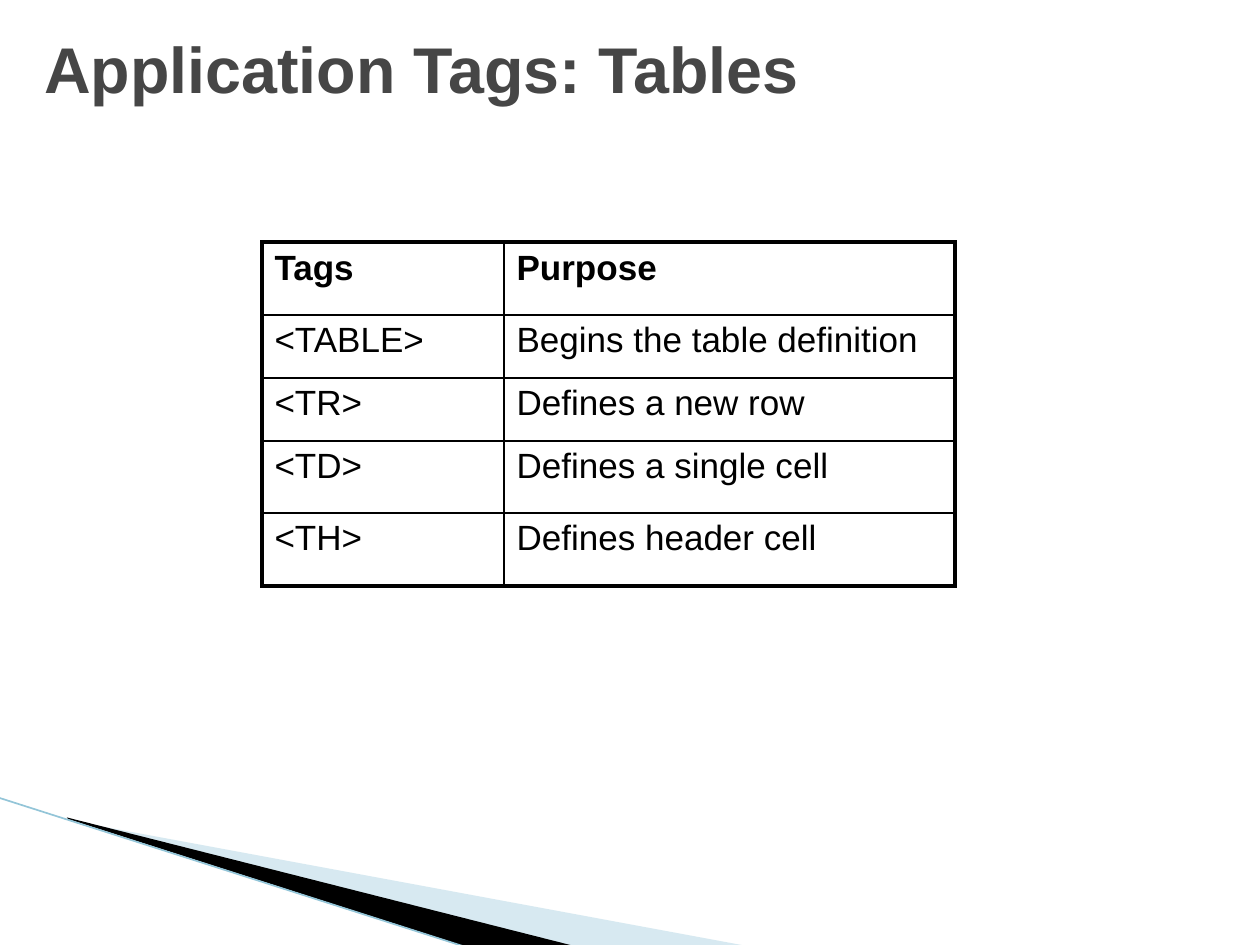
import pptx
import pptx.dml.color
import pptx.enum.shapes
import pptx.enum.text
import pptx.oxml.ns
import pptx.util
from lxml import etree

Cm, Pt = pptx.util.Cm, pptx.util.Pt
RGBColor = pptx.dml.color.RGBColor
qn = pptx.oxml.ns.qn

BLACK = RGBColor(0x00, 0x00, 0x00)
GRAY = RGBColor(0x46, 0x46, 0x46)
PALE_BLUE = RGBColor(0x9C, 0xCA, 0xDC)
LINE_BLUE = RGBColor(0x93, 0xC5, 0xD8)
FONT = "Arial"

TITLE = "Application Tags: Tables"
ROWS = [
    ("Tags", "Purpose"),
    ("<TABLE>", "Begins the table definition"),
    ("<TR>", "Defines a new row"),
    ("<TD>", "Defines a single cell"),
    ("<TH>", "Defines header cell"),
]
# Lengths in centimetres
COL_WIDTHS = (4.88, 9.09)
ROW_HEIGHTS = (1.47, 1.27, 1.27, 1.45, 1.47)
TABLE_LEFT, TABLE_TOP = 5.28, 4.88
OUTER_BORDER, INNER_BORDER = 2.25, 1

# Corner points, colour, opacity in percent
WEDGES = [
    ([(1.4, 16.54), (15.11, 19.08), (11.58, 19.08), (1.4, 16.51)], PALE_BLUE, 40),
    ([(1.35, 16.48), (11.61, 19.08), (9.45, 19.1), (1.37, 16.51)], BLACK, 100),
]
EDGE_LINE = (-0.03, 16.08, 9.42, 19.1)


def write(tf, text, size, color=BLACK, bold=False):
    r = tf.paragraphs[0].add_run()
    r.text = text
    r.font.name = FONT
    r.font.size = Pt(size)
    r.font.bold = bold
    r.font.color.rgb = color


def add_wedge(slide, points, color, opacity):
    corners = [(Cm(x), Cm(y)) for x, y in points]
    builder = slide.shapes.build_freeform(*corners[0], scale=1.0)
    builder.add_line_segments(corners[1:], close=True)
    sp = builder.convert_to_shape()
    sp.shadow.inherit = False
    sp.fill.solid()
    sp.fill.fore_color.rgb = color
    sp.line.fill.background()
    if opacity < 100:
        clr = sp.fill._xPr.find(".//" + qn("a:srgbClr"))
        etree.SubElement(clr, qn("a:alpha"), val=str(opacity * 1000))


def add_edge_line(slide):
    line = slide.shapes.add_connector(
        pptx.enum.shapes.MSO_CONNECTOR.STRAIGHT, *map(Cm, EDGE_LINE))
    line.line.color.rgb = LINE_BLUE
    line.line.width = Pt(0.95)
    etree.SubElement(line._element.spPr, qn("a:effectLst"))


def set_borders(cell, widths):
    tc_pr = cell._tc.get_or_add_tcPr()
    for side, width in widths.items():
        ln = etree.SubElement(tc_pr, qn("a:ln" + side), w=str(Pt(width)))
        fill = etree.SubElement(ln, qn("a:solidFill"))
        etree.SubElement(fill, qn("a:srgbClr"), val=str(BLACK))


def add_title(slide):
    sp = slide.shapes.add_textbox(Cm(0.64), Cm(0.61), Cm(20.75), Cm(1.52))
    tf = sp.text_frame
    tf.word_wrap = True
    tf.vertical_anchor = pptx.enum.text.MSO_ANCHOR.MIDDLE
    write(tf, TITLE, 36.9, GRAY, bold=True)


def add_tag_table(slide):
    n_rows, n_cols = len(ROWS), len(COL_WIDTHS)
    table = slide.shapes.add_table(
        n_rows, n_cols, Cm(TABLE_LEFT), Cm(TABLE_TOP),
        Cm(sum(COL_WIDTHS)), Cm(sum(ROW_HEIGHTS))).table
    table.horz_banding = False
    for col, width in zip(table.columns, COL_WIDTHS):
        col.width = Cm(width)
    for i, (row, height) in enumerate(zip(table.rows, ROW_HEIGHTS)):
        row.height = Cm(height)
        for j, text in enumerate(ROWS[i]):
            cell = table.cell(i, j)
            write(cell.text_frame, text, 20, bold=i == 0)
            on_edge = {"L": j == 0, "R": j == n_cols - 1,
                       "T": i == 0, "B": i == n_rows - 1}
            set_borders(cell, {side: OUTER_BORDER if outer else INNER_BORDER
                               for side, outer in on_edge.items()})
            cell.fill.background()


def main():
    prs = pptx.Presentation()
    prs.slide_width, prs.slide_height = Cm(25.4), Cm(19.05)
    slide = prs.slides.add_slide(prs.slide_layouts[6])
    for points, color, opacity in WEDGES:
        add_wedge(slide, points, color, opacity)
    add_edge_line(slide)
    add_title(slide)
    add_tag_table(slide)
    prs.save("out.pptx")


if __name__ == "__main__":
    main()
